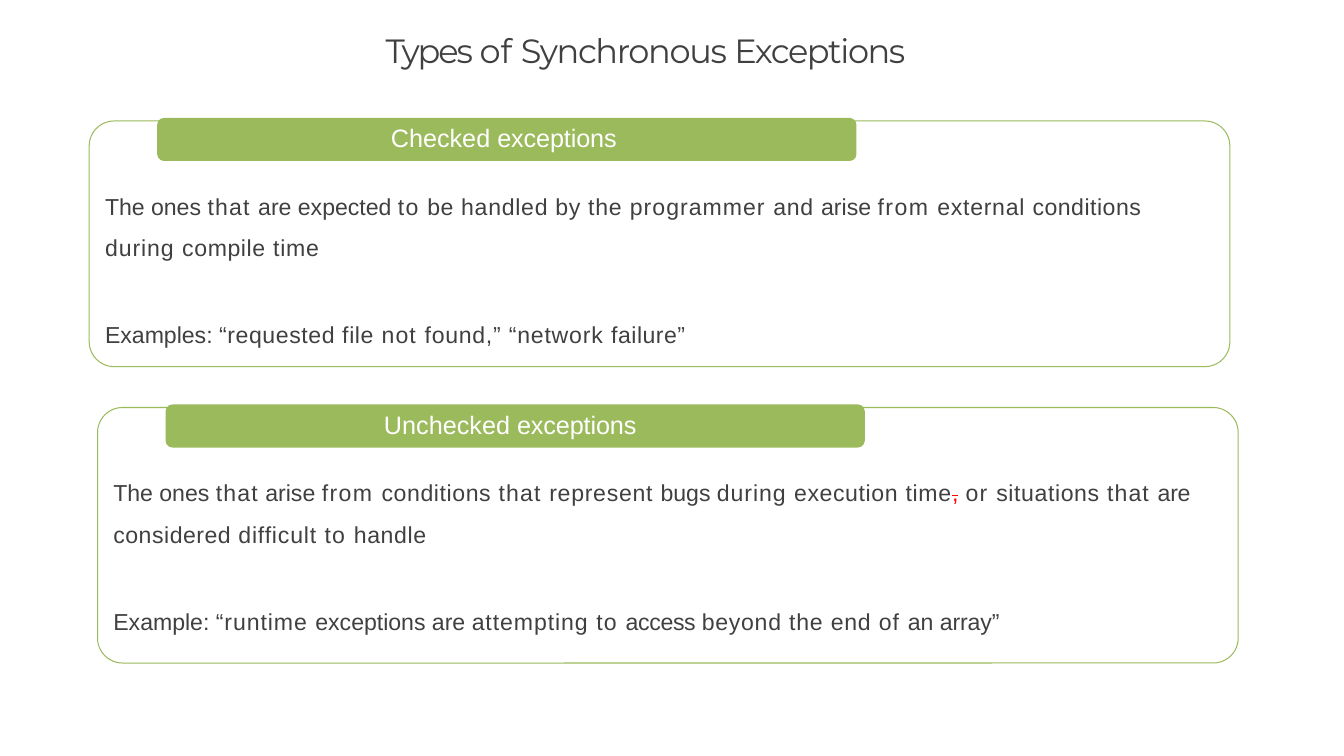
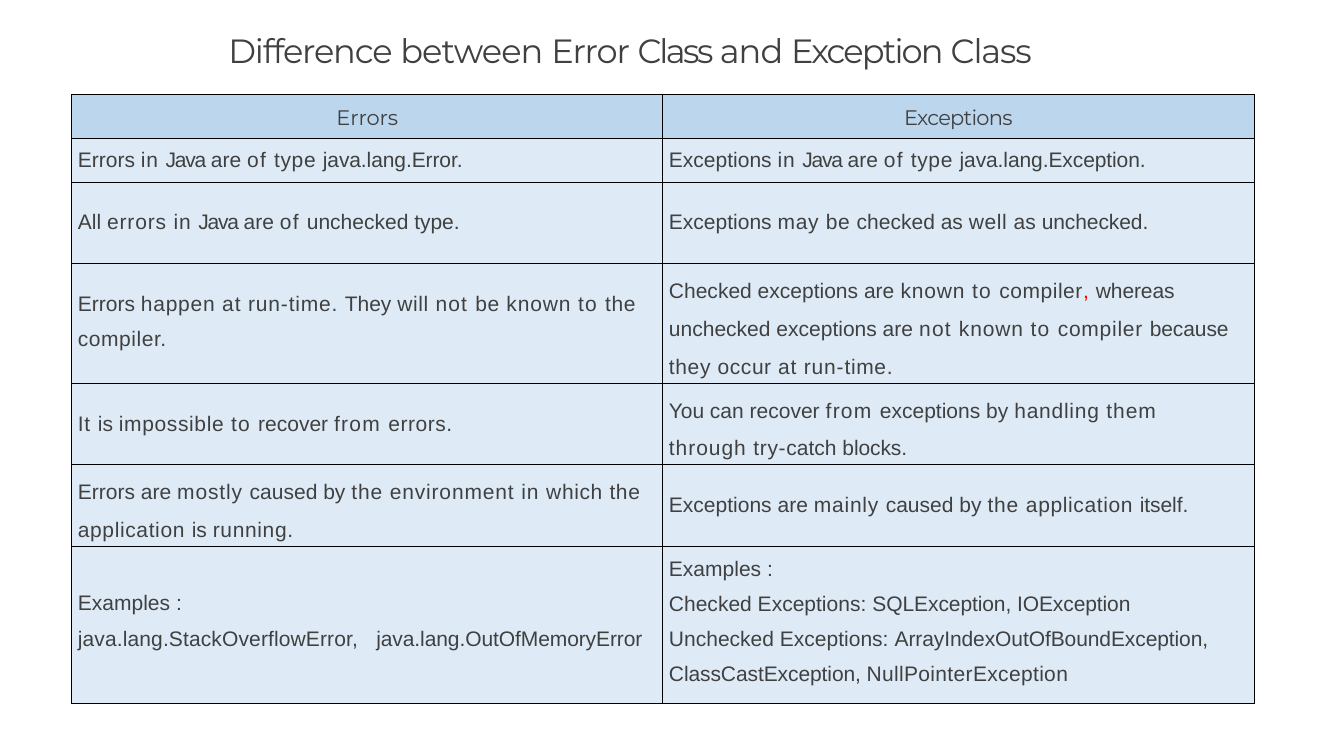
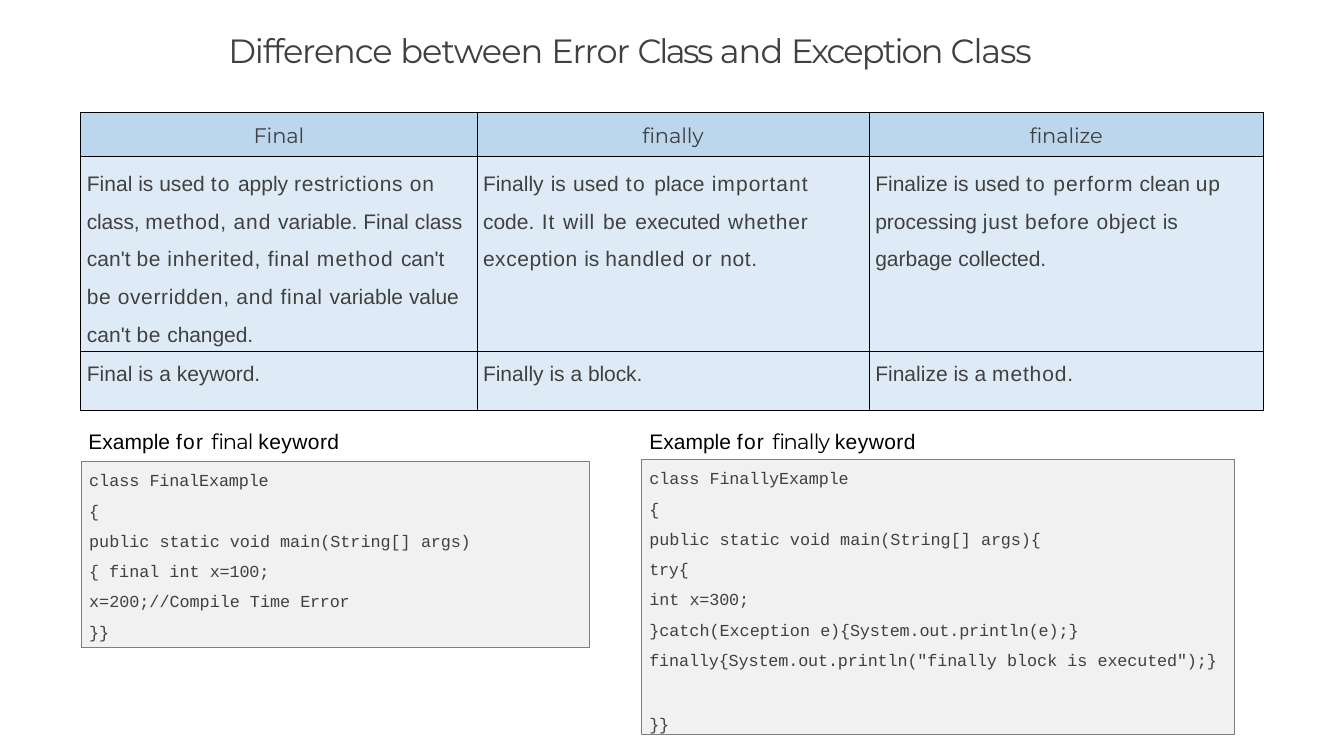
import dataclasses

import pptx
import pptx.dml.color
import pptx.enum.shapes
import pptx.enum.text
import pptx.oxml
import pptx.oxml.ns
import pptx.util
from pptx.util import Inches

ALIGN = pptx.enum.text.PP_ALIGN
SHAPES = pptx.enum.shapes.MSO_SHAPE


def color(hex_text):
    return pptx.dml.color.RGBColor.from_string(hex_text)


@dataclasses.dataclass
class Paragraph:
    """Runs are (text, letter spacing in points, optional overrides)."""
    runs: list
    size: int = 20
    color: str = "404040"
    font: str = "Arial"
    left: float = 0.08
    right: float = 0
    before: float = 0
    line: object = None
    align: object = ALIGN.LEFT


@dataclasses.dataclass
class Cell:
    paragraphs: list
    top: float = 0.14


class Deck:
    HEADING_FONT = "Montserrat"
    CODE_FONT = "Courier New"
    GREEN = "9BBA5C"
    WHITE = "FFFFFF"
    HEADER_FILL = "BCD6ED"
    CELL_FILL = "DEEBF7"
    CODE_FILL = "F1F1F1"
    CODE_LINE = "7E7E7E"
    BORDER = "000000"

    def __init__(self):
        self.presentation = pptx.Presentation()
        self.presentation.slide_width = Inches(17.78)
        self.presentation.slide_height = Inches(10)
        self.slide = None

    def new_slide(self, title_runs, indent=0.01):
        layout = self.presentation.slide_layouts.get_by_name("Title Only")
        self.slide = self.presentation.slides.add_slide(layout)
        title = self.slide.shapes.title
        title.left, title.top = Inches(3.01), Inches(0.38)
        title.width, title.height = Inches(11.76), Inches(0.82)
        self.fill_text(title.text_frame, [Paragraph(
            title_runs, size=32, font=self.HEADING_FONT, left=indent)])

    def fill_text(self, frame, paragraphs, top=0.01):
        frame.word_wrap = True
        frame.auto_size = pptx.enum.text.MSO_AUTO_SIZE.NONE
        frame.vertical_anchor = pptx.enum.text.MSO_ANCHOR.TOP
        frame.margin_left = frame.margin_right = frame.margin_bottom = 0
        frame.margin_top = Inches(top)
        self.add_paragraphs(frame, paragraphs)

    def add_paragraphs(self, frame, paragraphs):
        for index, content in enumerate(paragraphs):
            paragraph = frame.add_paragraph() if index else frame.paragraphs[0]
            paragraph.alignment = content.align
            paragraph.space_before = pptx.util.Pt(content.before)
            if content.line:
                paragraph.line_spacing = content.line
            properties = paragraph._p.get_or_add_pPr()
            properties.set("marL", str(Inches(content.left)))
            properties.set("marR", str(Inches(content.right)))
            properties.set("indent", "0")
            for text, spacing, *overrides in content.runs:
                self.add_run(paragraph, content, text, spacing, *overrides)

    def add_run(self, paragraph, content, text, spacing, overrides=None):
        overrides = overrides or {}
        run = paragraph.add_run()
        run.text = text
        run.font.size = pptx.util.Pt(content.size)
        run.font.name = overrides.get("font", content.font)
        run.font.color.rgb = color(overrides.get("color", content.color))
        properties = run._r.get_or_add_rPr()
        properties.set("spc", str(round(spacing * 100)))
        if overrides.get("strike"):
            properties.set("strike", "sngStrike")

    def text(self, left, top, width, height, paragraphs):
        box = self.slide.shapes.add_textbox(
            Inches(left), Inches(top), Inches(width), Inches(height))
        self.fill_text(box.text_frame, paragraphs)

    def shape(self, kind, left, top, width, height, fill=None, line=None,
              line_width=0.96, radius=None):
        shape = self.slide.shapes.add_shape(
            kind, Inches(left), Inches(top), Inches(width), Inches(height))
        shape.shadow.inherit = False
        if fill:
            shape.fill.solid()
            shape.fill.fore_color.rgb = color(fill)
        else:
            shape.fill.background()
        if line:
            shape.line.color.rgb = color(line)
            shape.line.width = pptx.util.Pt(line_width)
        else:
            shape.line.fill.background()
        if radius:
            shape.adjustments[0] = radius / min(width, height)
        return shape

    def card(self, left, top, height, text_width, heading, heading_indent,
             description, example):
        """Outlined card with a green label overlapping its top edge."""
        self.shape(SHAPES.ROUNDED_RECTANGLE, left + 0.9, top - 0.04, 9.25, 0.57,
                   fill=self.GREEN, radius=0.09)
        self.shape(SHAPES.ROUNDED_RECTANGLE, left, top, 15.09, height,
                   line=self.GREEN, radius=0.33)
        self.text(left + 0.2, top + 0.01, text_width, 2.97, [
            Paragraph(heading, size=24, color=self.WHITE, left=heading_indent),
            Paragraph(description, size=22, left=0.01, before=24.3, line=1.5),
            Paragraph(example, size=22, left=0.01, before=56.5)])

    def table(self, left, top, widths, heights, headers, rows):
        frame = self.slide.shapes.add_table(
            len(heights), len(widths), Inches(left), Inches(top),
            Inches(sum(widths)), Inches(sum(heights)))
        table = frame.table
        table.first_row = table.horz_banding = False
        for column, width in zip(table.columns, widths):
            column.width = Inches(width)
        for row, height in zip(table.rows, heights):
            row.height = Inches(height)
        header_cells = [
            Cell([Paragraph([run], font=self.HEADING_FONT, left=0,
                            align=ALIGN.CENTER)]) for run in headers]
        for row_index, contents in enumerate([header_cells] + rows):
            fill = self.CELL_FILL if row_index else self.HEADER_FILL
            for column_index, content in enumerate(contents):
                self.fill_cell(table.cell(row_index, column_index), content, fill)

    def fill_cell(self, cell, content, fill):
        cell.margin_left = cell.margin_right = cell.margin_bottom = 0
        cell.margin_top = Inches(content.top)
        cell.fill.solid()
        cell.fill.fore_color.rgb = color(fill)
        properties = cell._tc.get_or_add_tcPr()
        for index, side in enumerate(("lnL", "lnR", "lnT", "lnB")):
            properties.insert(index, pptx.oxml.parse_xml(
                f'<a:{side} {pptx.oxml.ns.nsdecls("a")} w="12700"><a:solidFill>'
                f'<a:srgbClr val="{self.BORDER}"/></a:solidFill></a:{side}>'))
        self.add_paragraphs(cell.text_frame, content.paragraphs)

    def code(self, left, top, width, height, lines):
        """Each line is (runs, space before, paragraph options)."""
        box = self.shape(SHAPES.RECTANGLE, left, top, width, height,
                         self.CODE_FILL, self.CODE_LINE, 0.72)
        self.fill_text(box.text_frame, [
            Paragraph(runs, size=16, font=self.CODE_FONT, left=0.1,
                      before=before, **options)
            for runs, before, options in lines], top=0.12)

    def caption(self, left, width, keyword):
        self.text(left, 5.66, width, 0.36, [Paragraph(
            [("Example ", 0), ("for ", 1.2),
             (keyword + " ", -0.7, {"font": self.HEADING_FONT}),
             ("keyword", 0.4)], color="000000", left=0.01)])


def line_cell(*runs, top=0.14, **options):
    return Cell([Paragraph(list(runs), **options)], top)


def middle_cell(*runs):
    return line_cell(*runs, top=0.38)


def wide_cell(*runs, **options):
    return line_cell(*runs, top=0.02, line=pptx.util.Pt(36), **options)


DIFFERENCE_TITLE = [
    ("Difference ", -1.1), ("between ", -0.9), ("Error ", -1.1), ("Class ", -2.4),
    ("and ", -0.9), ("Exception ", -1.8), ("Class", -1.1)]


def build_exception_types(deck):
    deck.new_slide([("Types ", -2), ("of ", -0.1), ("Synchronous ", -1.3),
                    ("Exceptions", -1.4)], indent=2.09)
    deck.card(
        1.18, 1.6, 3.25, 13.82,
        [("Checked ", 0), ("exceptions", -0.1)], 3.79,
        [("The ones ", 0), ("that ", 1.1), ("are expected ", 0), ("to ", 1.2),
         ("be ", 0.6), ("handled", 0.7), (" by ", 0.6), ("the ", 0.8),
         ("programmer ", 1), ("and ", 0.7), ("arise ", 0), ("from ", 1.4),
         ("external ", 0.7), ("conditions ", 0.5), ("during ", 0.9),
         ("compile ", 0.6), ("time", 0.8)],
        [("Examples: ", 0), ("“requested file ", 0.6), ("not ", 1.1),
         ("found,” ", 0.7), ("“network ", 0.8), ("failure”", 0.5)])
    deck.card(
        1.29, 5.39, 3.38, 14.33,
        [("Unchecked ", 0), ("exceptions", -0.1)], 3.59,
        [("The ones ", 0), ("that", 1.1), (" arise ", 0), ("from ", 1.4),
         ("conditions ", 0.6), ("that ", 1.1), ("represent ", 0.7), ("bugs ", 0),
         ("during ", 0.9), ("execution ", 0.6), ("time", 0.7),
         (",", 0.7, {"color": "FF0000", "strike": True}),
         (" ", 0.1, {"color": "FF0000"}), ("or ", 1.2), ("situations ", 0.6),
         ("that ", 1.1), ("are ", -0.2), ("considered ", 0.5),
         ("difficult ", 0.8), ("to ", 1.2), ("handle", 0.6)],
        [("Example: ", 0), ("“runtime ", 0.9), ("exceptions are ", 0),
         ("attempting ", 0.9), ("to ", 1.2), ("access ", -0.3), ("beyond ", 0.7),
         ("the ", 0.8), ("end ", 0.7), ("of ", 1.1), ("an ", 0),
         ("array”", -0.1)])


def build_error_comparison(deck):
    deck.new_slide(DIFFERENCE_TITLE)
    of_type = [("in ", 0.8), ("Java ", -1.2), ("are ", 0), ("of ", 1.1),
               ("type ", 0.6)]
    rows = [
        # Type
        [line_cell(("Errors ", 0), *of_type, ("java.lang.Error.", -0.1)),
         line_cell(("Exceptions ", 0), *of_type, ("java.lang.Exception.", -0.1))],
        # Checked or unchecked
        [middle_cell(("All ", 0), ("errors in ", 0.8), ("Java ", -1.2),
                     ("are ", 0), ("of ", 1.1), ("unchecked ", 0),
                     ("type.", -0.1)),
         middle_cell(("Exceptions ", 0), ("may ", 0.6), ("be ", 0.5),
                     ("checked as ", 0), ("well ", 0.5), ("as ", 0),
                     ("unchecked.", -0.1))],
        # Known to the compiler
        [line_cell(("Errors ", 0), ("happen ", 0.7), ("at run-", 0.8),
                   ("time. ", 0.7), ("They ", 0), ("will ", 0.6), ("not ", 1.1),
                   ("be ", 0.6), ("known ", 0.8), ("to ", 1.2), ("the ", 0.6),
                   ("compiler.", 0.5), top=0.22, line=1.5),
         wide_cell(("Checked exceptions are ", 0), ("known ", 0.8), ("to ", 1.2),
                   ("compiler", 0.5), (", ", 0.5, {"color": "FF0000"}),
                   ("whereas ", -0.1), ("unchecked exceptions are ", 0),
                   ("not ", 1.1), ("known ", 0.8), ("to ", 1.2),
                   ("compiler ", 0.7), ("because ", -0.1), ("they ", 0.6),
                   ("occur ", 0.5), ("at ", 0.7), ("run-", 0.8), ("time.", 0.6))],
        # Recovery
        [middle_cell(("It ", 0.8), ("is ", 0), ("impossible ", 0.6), ("to ", 1.2),
                     ("recover ", 0), ("from ", 1.2), ("errors.", 0.5)),
         wide_cell(("You ", -0.1), ("can recover ", 0), ("from ", 1.2),
                   ("exceptions by ", 0), ("handling ", 0.7),
                   ("them through", 0.9), (" try-", 0.6), ("catch ", 0),
                   ("blocks.", -0.1), right=0.45)],
        # Cause
        [wide_cell(("Errors are ", 0), ("mostly ", 0.8), ("caused by ", 0),
                   ("the environment in ", 0.8), ("which the application ", 0.6),
                   ("is ", 0), ("running.", 0.6)),
         middle_cell(("Exceptions are ", 0), ("mainly ", 0.7), ("caused by ", 0),
                     ("the ", 0.8), ("application ", 0.6), ("itself.", -0.1))],
        # Examples
        [Cell([Paragraph([("Examples ", 0), (":", -0.5)]),
               Paragraph([("java.lang.StackOverflowError,", 0.1), (" ", 11.5),
                          ("java.lang.OutOfMemoryError", -0.1)], before=12)],
              top=0.6),
         Cell([Paragraph([("Examples ", 0), (":", -0.5)]),
               Paragraph([("Checked Exceptions: ", 0),
                          ("SQLException, IOException ", -0.1),
                          ("Unchecked Exceptions: ", 0),
                          ("ArrayIndexOutOfBoundException, "
                           "ClassCastException, ", -0.1),
                          ("NullPointerException", 0.3)], line=1.5, right=0.45)])],
    ]
    deck.table(0.95, 1.25, [7.82] * 2, [0.58, 0.58, 1.08, 1.58, 1.08, 1.08, 2.08],
               [("Errors", -0.1), ("Exceptions", -0.7)], rows)


def build_final_comparison(deck):
    deck.new_slide(DIFFERENCE_TITLE)
    wide_line = pptx.util.Pt(36)
    rows = [
        # Use
        [Cell([Paragraph([("Final is used ", 0), ("to ", 1.2), ("apply ", 0),
                          ("restrictions ", 0.6), ("on ", 0.8), ("class, ", -0.2),
                          ("method, and ", 0.8), ("variable. Final ", 0),
                          ("class ", -0.1), ("can't ", 0), ("be ", 0.5),
                          ("inherited, final ", 0.7), ("method ", 1.1),
                          ("can't", -0.1)], line=wide_line),
               Paragraph([("be ", 0.5), ("overridden, ", 0.6), ("and ", 0.8),
                          ("final ", 0.7), ("variable ", 0), ("value ", -0.1),
                          ("can't ", 0), ("be ", 0.5), ("changed.", -0.1)],
                         line=wide_line)], top=0.02),
         wide_cell(("Finally is used ", 0), ("to ", 1.2), ("place ", 0),
                   ("important ", 1), ("code. ", 0), ("It", 0.8), (" will ", 0.6),
                   ("be ", 0.5), ("executed ", 0), ("whether ", 0.8),
                   ("exception ", 0.5), ("is ", 0), ("handled ", 0.7),
                   ("or ", 1.2), ("not.", 0.6), right=0.8, align=ALIGN.JUSTIFY),
         wide_cell(("Finalize is used ", 0), ("to ", 1.2), ("perform", 1.1),
                   (" clean ", 0), ("up ", 0.8), ("processing ", 0),
                   ("just ", 0.7), ("before ", 0.8), ("object ", 0.6),
                   ("is ", -0.2), ("garbage ", 0), ("collected.", -0.1),
                   right=0.4)],
        # Kind
        [line_cell(("Final is a ", 0), ("keyword.", -0.1)),
         line_cell(("Finally is a", 0), (" block.", -0.1)),
         line_cell(("Finalize is a ", 0), ("method.", 0.8))],
    ]
    deck.table(1.07, 1.49, [5.24, 5.19, 5.21], [0.58, 2.58, 0.78],
               [("Final", -0.1), ("finally", -0.1), ("finalize", -0.1)], rows)

    # Code examples
    deck.caption(1.16, 3.46, "final")
    deck.caption(8.58, 3.7, "finally")
    main_method = ("public static void main(String[] ", 0)
    deck.code(1.08, 6.1, 6.72, 2.47, [
        ([("class ", 0), ("FinalExample", -0.1)], 0, {}),
        ([("{", -0.5)], 9.7, {}),
        ([main_method, ("args){ ", -0.1), ("final int ", 0), ("x=100;", -0.1)], 0,
         {"line": 1.5, "right": 1}),
        ([("x=200;//Compile Time ", 0), ("Error", -0.2)], 9.6, {}),
        ([("}}", -0.2)], 9.6, {})])
    deck.code(8.49, 6.07, 7.84, 3.65, [
        ([("class ", 0), ("FinallyExample", -0.1)], 0, {}),
        ([("{", -0.5)], 9.6, {}),
        ([main_method, ("args){", -0.1)], 9.6, {}),
        ([("try{", -0.2)], 9.6, {}),
        ([("int ", 0), ("x=300;", -0.1)], 9.7, {}),
        ([("}catch(Exception ", 0),
          ("e){System.out.println(e);} finally{System.out.println(\"finally ", -0.1),
          ("block is ", 0), ("executed\");}", -0.1)], 0, {"line": 1.5}),
        ([("}}", -0.2)], 42, {})])


def main():
    deck = Deck()
    build_exception_types(deck)
    build_error_comparison(deck)
    build_final_comparison(deck)
    deck.presentation.save("out.pptx")


if __name__ == "__main__":
    main()
